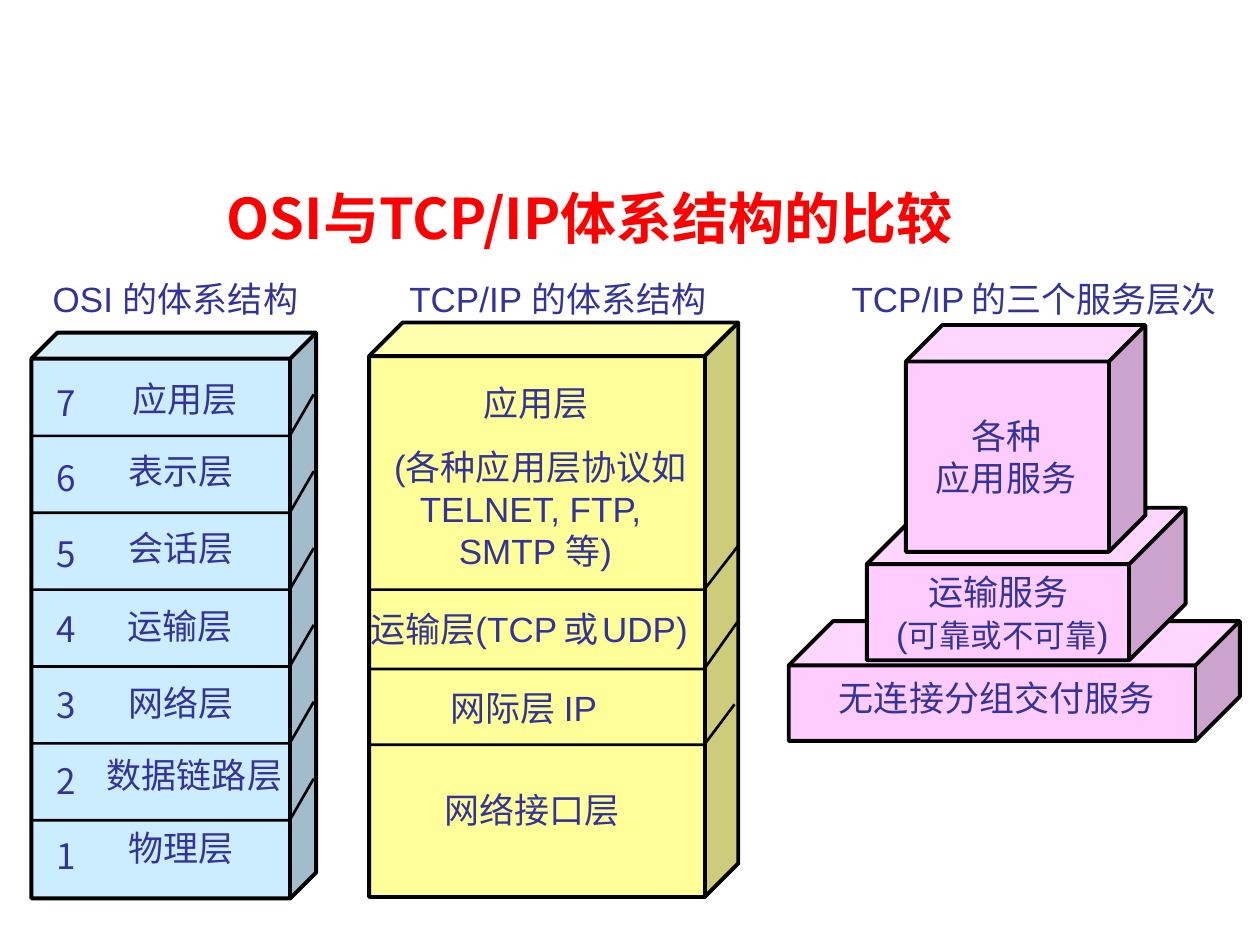
"""Build a slide comparing the OSI and TCP/IP architectures."""
import pptx
import pptx.dml.color
import pptx.enum.shapes
import pptx.enum.text
import pptx.util

Inches, Pt = pptx.util.Inches, pptx.util.Pt
RGB = pptx.dml.color.RGBColor.from_string
ALIGN = pptx.enum.text.PP_ALIGN
SHAPE = pptx.enum.shapes.MSO_SHAPE
FIT = pptx.enum.text.MSO_AUTO_SIZE.SHAPE_TO_FIT_TEXT
C = {"title": "FF0000", "text": "333399", "line": "000000",
     "osi": "CCECFF", "tcp": "FFFF99", "service": "FFCCFF"}

prs = pptx.Presentation()
prs.slide_width, prs.slide_height = Inches(10), Inches(7.5)
s = prs.slides.add_slide(prs.slide_layouts[6])


def add_text(box, paragraphs, font="Arial", align=ALIGN.LEFT, spacing=None, wrap=False):
    """Fill a shape with paragraphs, each a string or a list of (text, size, font) runs."""
    tf = box.text_frame
    tf.word_wrap = wrap
    tf.auto_size = FIT
    tf.vertical_anchor = pptx.enum.text.MSO_ANCHOR.TOP
    for i, runs in enumerate(paragraphs):
        p = tf.paragraphs[0] if i == 0 else tf.add_paragraph()
        p.alignment = align
        p.line_spacing = spacing
        p.font.color.rgb = RGB(C["text"])
        if isinstance(runs, str):
            p.font.name, p.font.size = font, Pt(20)
            p.add_run().text = runs
            continue
        for text, size, name in runs:
            r = p.add_run()
            r.text = text
            r.font.name, r.font.size = name, Pt(size)


def add_block(x, y, w, h, depth, color, cuts=()):
    """Draw a cube and the layer boundaries that run across its side and front."""
    sp = s.shapes.add_shape(SHAPE.CUBE, Inches(x), Inches(y), Inches(w), Inches(h))
    sp.shadow.inherit = False
    sp.adjustments[0] = depth
    sp.fill.solid()
    sp.fill.fore_color.rgb = RGB(C[color])
    sp.line.color.rgb = RGB(C["line"])
    sp.line.width = Pt(2.25)
    for right, top, edge, bottom in cuts:
        fb = s.shapes.build_freeform(Inches(right), Inches(top))
        fb.add_line_segments([(Inches(edge), Inches(bottom)), (Inches(x), Inches(bottom))],
                             close=False)
        cut = fb.convert_to_shape()
        cut.shadow.inherit = False
        cut.fill.background()
        cut.line.color.rgb = RGB(C["line"])
        cut.line.width = Pt(1.5)


title = s.shapes.add_textbox(Inches(0.25), Inches(1.23), Inches(9), Inches(0.86))
tf = title.text_frame
tf.word_wrap = True
tf.vertical_anchor = pptx.enum.text.MSO_ANCHOR.MIDDLE
p = tf.paragraphs[0]
p.alignment = ALIGN.CENTER
for text, size, font, bold, color in [
        ("OSI与TCP/IP体系结构的比较", 32, "Noto Sans CJK SC", True, "title"),
        (" ", 44, "Arial", False, "line")]:
    r = p.add_run()
    r.text = text
    r.font.size, r.font.name, r.font.bold = Pt(size), font, bold
    r.font.color.rgb = RGB(C[color])

add_block(0.25, 2.64, 2.26, 4.49, 0.091, "osi",
          [(2.49, 3.13 + 0.61 * i, 2.3, 3.46 + 0.61 * i) for i in range(6)])
add_block(2.93, 2.56, 2.93, 4.56, 0.091, "tcp",
          [(5.86, 4.33, 5.59, 4.68), (5.85, 4.94, 5.59, 5.31), (5.83, 5.59, 5.59, 5.91)])
add_block(6.26, 4.93, 3.58, 0.95, 0.37, "service")
add_block(6.88, 4.03, 2.53, 1.21, 0.37, "service")
add_block(7.19, 2.58, 1.9, 1.8, 0.161, "service")

labels = [
    (0.95, 2.95, 1.08, "应用层", "Times New Roman"),
    (0.92, 3.52, 1.08, "表示层", "Times New Roman"),
    (0.92, 4.13, 1.08, "会话层", "Times New Roman"),
    (0.91, 4.75, 1.08, "运输层", "Times New Roman"),
    (0.92, 5.36, 1.08, "网络层", "Times New Roman"),
    (0.75, 5.93, 1.64, "数据链路层", "Times New Roman"),
    (0.92, 6.51, 1.08, "物理层", "Times New Roman"),
    (0.32, 2.15, 2.26, "OSI 的体系结构", "Arial"),
    (3.15, 2.15, 2.68, "TCP/IP 的体系结构", "Arial"),
    (6.66, 2.15, 3.19,
     [("TCP/IP", 20, "Arial"), (" ", 14, "Arial"), ("的三个服务层次", 20, "Arial")], "Arial"),
    (3.74, 2.98, 1.08, "应用层", "Arial"),
    (2.84, 4.77, 2.91,
     [("运输层(TCP", 20, "Arial"), (" ", 12, "Arial"), ("或", 20, "Arial"),
      (" ", 10, "Arial"), ("UDP)", 20, "Arial")], "Arial"),
    (3.48, 5.4, 1.47, "网际层 IP", "Arial"),
    (3.43, 6.21, 1.64, "网络接口层", "Arial"),
    (6.56, 5.32, 2.75, "无连接分组交付服务", "Times New Roman"),
]
for x, y, w, content, font in labels:
    box = s.shapes.add_textbox(Inches(x), Inches(y), Inches(w), Inches(0.44))
    add_text(box, [content], font)

numbers = s.shapes.add_textbox(Inches(0.35), Inches(2.71), Inches(0.36), Inches(4.3))
add_text(numbers, [str(n) for n in range(7, 0, -1)], "Noto Sans CJK SC", spacing=1.8)

protocols = s.shapes.add_textbox(Inches(2.92), Inches(3.49), Inches(2.66), Inches(1.1))
add_text(protocols, [" (各种应用层协议如", "TELNET, FTP, ", "SMTP 等)"], align=ALIGN.CENTER)

transport = s.shapes.add_textbox(Inches(6.89), Inches(4.48), Inches(2.13), Inches(0.77))
add_text(transport, ["运输服务 ", [("(", 20, "Arial"), ("可靠或不可靠", 18, "Cabin"),
                               (")", 20, "Arial")]], align=ALIGN.CENTER, wrap=True)

services = s.shapes.add_shape(SHAPE.RECTANGLE, Inches(7.33), Inches(3.24),
                              Inches(1.31), Inches(0.77))
services.shadow.inherit = False
services.fill.solid()
services.fill.fore_color.rgb = RGB(C["service"])
services.line.fill.background()
add_text(services, ["各种", "应用服务"], "Times New Roman", ALIGN.CENTER)

prs.save("out.pptx")
